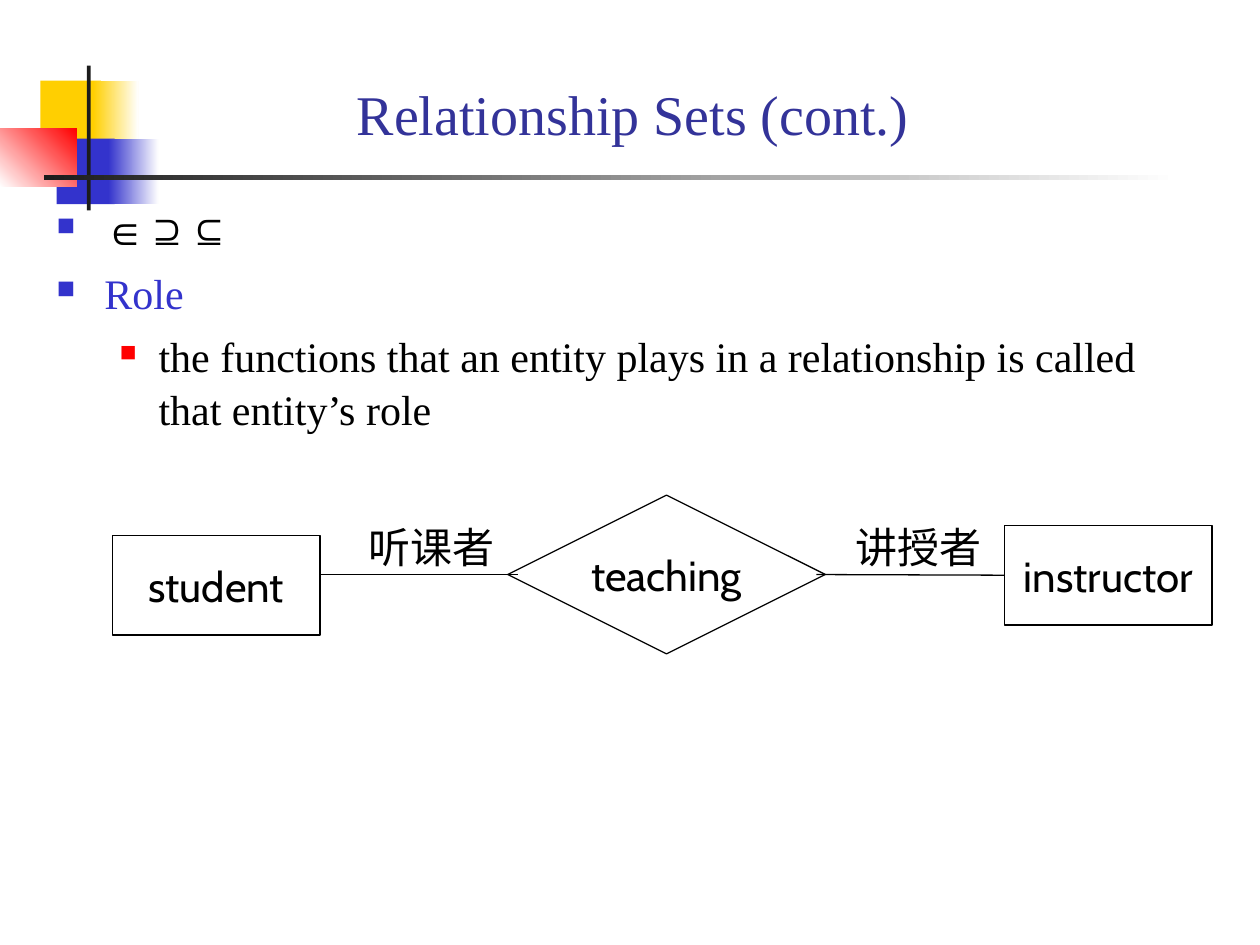
import pptx
import pptx.dml.color
import pptx.enum.shapes
import pptx.enum.text
import pptx.oxml
import pptx.oxml.ns
import pptx.util

Inches = pptx.util.Inches
Pt = pptx.util.Pt
MSO_SHAPE = pptx.enum.shapes.MSO_SHAPE
PP_ALIGN = pptx.enum.text.PP_ALIGN
MSO_ANCHOR = pptx.enum.text.MSO_ANCHOR
MSO_AUTO_SIZE = pptx.enum.text.MSO_AUTO_SIZE

COLORS = {
    "yellow": "FFCF01", "blue": "3333CC", "red": "FF0000", "dark": "1C1C1C",
    "white": "FFFFFF", "black": "000000", "title": "333399",
}


def rgb(name):
    return pptx.dml.color.RGBColor.from_string(COLORS[name])


def write_text(paragraph, text, size=24, font="Cabin", color="black", align=PP_ALIGN.LEFT,
               bullet=None, bullet_size=60, margin=0, hanging=0, before=0, spacing=None):
    properties = paragraph._p.get_or_add_pPr()
    if bullet:
        properties.set("marL", str(Inches(margin)))
        properties.set("indent", str(-Inches(hanging)))
        namespace = pptx.oxml.ns.nsdecls("a")
        for xml in (
            f'<a:buClr {namespace}><a:srgbClr val="{COLORS[bullet]}"/></a:buClr>',
            f'<a:buSzPct {namespace} val="{bullet_size * 1000}"/>',
            f'<a:buChar {namespace} char="■"/>',
        ):
            properties.append(pptx.oxml.parse_xml(xml))
    paragraph.alignment = align
    paragraph.space_before = Pt(before)
    if spacing:
        paragraph.line_spacing = spacing
    run = paragraph.add_run()
    run.text = text
    run.font.size = Pt(size)
    run.font.name = font
    run.font.color.rgb = rgb(color)


presentation = pptx.Presentation()
presentation.slide_width = Inches(10)
presentation.slide_height = Inches(7.5)
slide = presentation.slides.add_slide(presentation.slide_layouts[6])
shapes = slide.shapes

# Corner decoration: position, colour or colour pair, gradient angle
decoration = [
    ((0.32, 0.64, 0.48, 0.52), ["yellow"], 0),
    ((0.74, 0.64, 0.36, 0.52), ["yellow", "white"], 0),
    ((0.45, 1.1, 0.46, 0.52), ["blue"], 0),
    ((0.86, 1.1, 0.4, 0.52), ["blue", "white"], 0),
    ((0, 1.02, 0.61, 0.46), ["white", "red"], 45),
    ((0.69, 0.52, 0.03, 1.15), ["dark"], 0),
    ((0.35, 1.39, 9, 0.04), ["dark", "white"], 0),
]
for position, fill_colors, angle in decoration:
    shape = shapes.add_shape(MSO_SHAPE.RECTANGLE, *map(Inches, position))
    shape.shadow.inherit = False
    shape.line.fill.background()
    if len(fill_colors) == 1:
        shape.fill.solid()
        shape.fill.fore_color.rgb = rgb(fill_colors[0])
    else:
        shape.fill.gradient()
        shape.fill.gradient_angle = angle
        for stop, color in zip(shape.fill.gradient_stops, fill_colors):
            stop.color.rgb = rgb(color)

# Bulleted text
body = shapes.add_textbox(Inches(0.35), Inches(1.55), Inches(9.25), Inches(5)).text_frame
body.word_wrap = True
top_level = {"bullet": "blue", "margin": 0.38, "hanging": 0.38}
second_level = {"bullet": "red", "bullet_size": 55, "margin": 0.81, "hanging": 0.31}
items = [
    ("∈⊇⊆", "black", top_level),
    ("Role", "blue", top_level),
    ("the functions that an entity plays in a relationship is called that entity’s role",
     "black", second_level),
]
for index, (text, color, level) in enumerate(items):
    paragraph = body.add_paragraph() if index else body.paragraphs[0]
    if level is second_level:
        paragraph.level = 1
    write_text(paragraph, text, font="Times New Roman", color=color,
               before=6 if index else 0, spacing=1.05, **level)

# Title
title = shapes.add_textbox(Inches(0.9), Inches(0.52), Inches(8.25), Inches(0.75)).text_frame
title.word_wrap = True
title.vertical_anchor = MSO_ANCHOR.MIDDLE
write_text(title.paragraphs[0], "Relationship Sets (cont.)", size=32,
           font="Times New Roman", color="title", align=PP_ALIGN.CENTER)

# Entities and relationship
nodes = {}
for name, kind, position in [
    ("student", MSO_SHAPE.RECTANGLE, (0.89, 4.25, 1.65, 0.79)),
    ("instructor", MSO_SHAPE.RECTANGLE, (7.97, 4.17, 1.65, 0.79)),
    ("teaching", MSO_SHAPE.DIAMOND, (4.03, 3.93, 2.52, 1.26)),
]:
    shape = shapes.add_shape(kind, *map(Inches, position))
    shape.shadow.inherit = False
    shape.fill.background()
    shape.line.color.rgb = rgb("black")
    shape.line.width = Pt(0.75)
    shape.text_frame.word_wrap = False
    shape.text_frame.vertical_anchor = MSO_ANCHOR.MIDDLE
    write_text(shape.text_frame.paragraphs[0], name, align=PP_ALIGN.CENTER)
    nodes[name] = shape

# Links, the second one joined to the instructor's left side
line_y = Inches(4.56)
for start, end, target in [(2.54, 4.11, None), (6.48, 7.97, "instructor")]:
    connector = shapes.add_connector(pptx.enum.shapes.MSO_CONNECTOR.STRAIGHT,
                                     Inches(start), line_y, Inches(end), line_y)
    connector.line.color.rgb = rgb("black")
    connector.line.width = Pt(0.75)
    connector._element.spPr.append(pptx.oxml.parse_xml(
        f'<a:effectLst {pptx.oxml.ns.nsdecls("a")}/>'))
    if target:
        connector.end_connect(nodes[target], 1)

# Role labels
for text, left in [("听课者", 2.83), ("讲授者", 6.69)]:
    label = shapes.add_textbox(Inches(left), Inches(4.09), Inches(1.2), Inches(0.5)).text_frame
    label.word_wrap = False
    label.auto_size = MSO_AUTO_SIZE.SHAPE_TO_FIT_TEXT
    write_text(label.paragraphs[0], text)

presentation.save("out.pptx")
